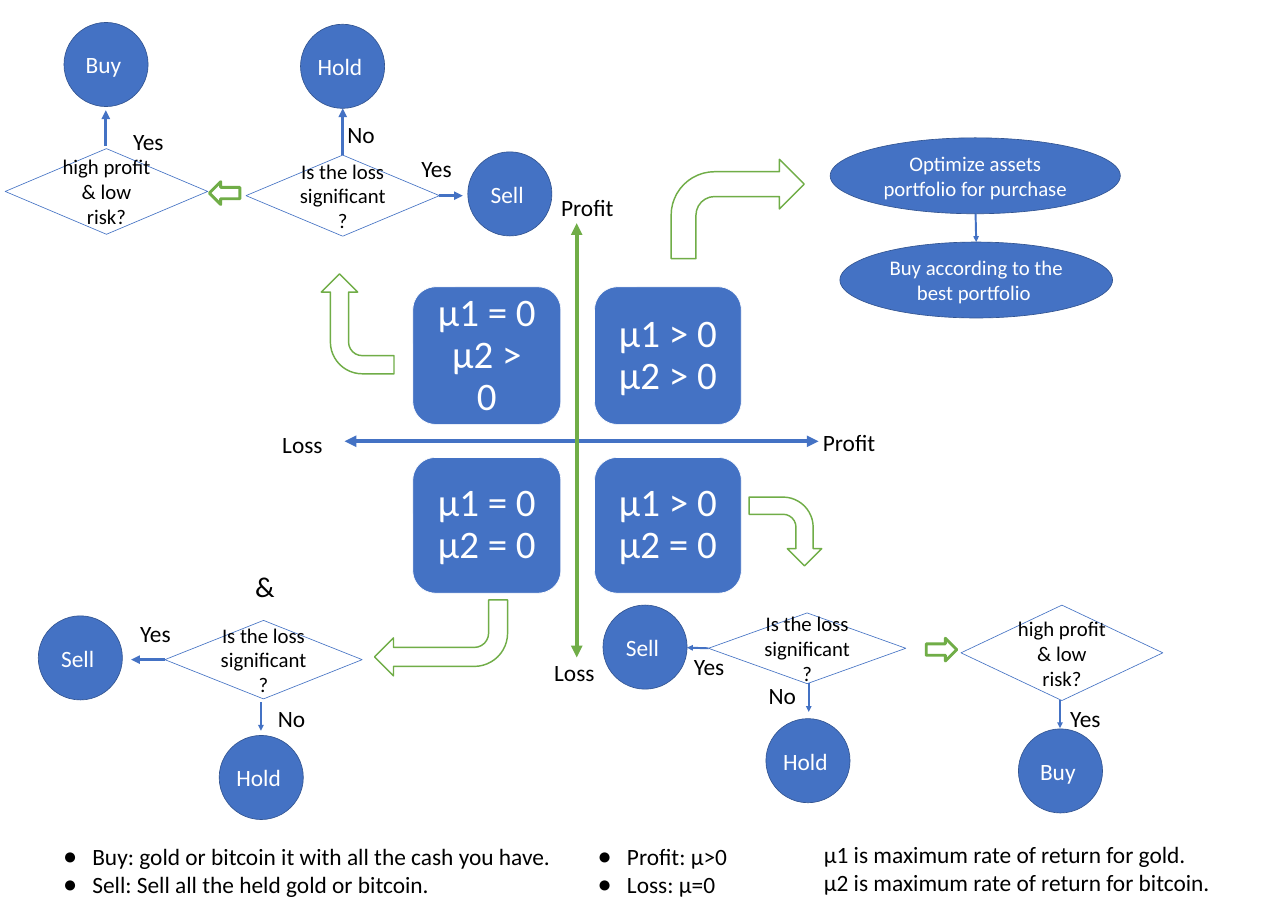
from pptx import Presentation
from pptx.dml.color import RGBColor
from pptx.enum import shapes, text
from pptx.oxml import ns
from pptx.util import Pt
from lxml import etree

BLUE = RGBColor(0x44, 0x72, 0xC4)
DARK_BLUE = RGBColor(0x32, 0x54, 0x91)
GREEN = RGBColor(0x70, 0xAD, 0x47)
WHITE = RGBColor(0xFF, 0xFF, 0xFF)
BLACK = RGBColor(0, 0, 0)
FONT = "Calibri"
CIRCLE = 129.6
KIND = shapes.MSO_SHAPE
TOP, LEFT, RIGHT = 0, 1, 3


def add_run(p, words, size, color):
    r = p.add_run()
    r.text = words
    r.font.name = FONT
    r.font.size = Pt(size)
    r.font.color.rgb = color


def add_shape(s, kind, x, y, w, h, fill, line, weight=1):
    sp = s.shapes.add_shape(kind, Pt(x), Pt(y), Pt(w), Pt(h))
    sp.shadow.inherit = False
    if fill is None:
        sp.fill.background()
    else:
        sp.fill.solid()
        sp.fill.fore_color.rgb = fill
    sp.line.color.rgb = line
    sp.line.width = Pt(weight)
    return sp


def centre_text(sp, lines, size, color):
    tf = sp.text_frame
    tf.word_wrap = True
    tf.vertical_anchor = text.MSO_ANCHOR.MIDDLE
    p = tf.paragraphs[0]
    p.alignment = text.PP_ALIGN.CENTER
    for i, line in enumerate(lines):
        if i:
            p.add_line_break()
        add_run(p, line, size, color)


def add_quadrant(s, x, y, w, h, *lines):
    sp = add_shape(s, KIND.ROUNDED_RECTANGLE, x, y, w, h, BLUE, WHITE)
    centre_text(sp, lines, 60, WHITE)
    tf = sp.text_frame
    tf.margin_left = tf.margin_right = tf.margin_top = tf.margin_bottom = Pt(16)
    tf.paragraphs[0].line_spacing = 0.9


def add_ellipse(s, words, x, y, w=CIRCLE, h=CIRCLE, size=36):
    sp = add_shape(s, KIND.OVAL, x, y, w, h, BLUE, DARK_BLUE)
    centre_text(sp, [words], size, WHITE)
    return sp


def add_decision(s, words, x, y, w, h):
    sp = add_shape(s, KIND.DIAMOND, x, y, w, h, WHITE, BLUE)
    centre_text(sp, [words], 32, BLACK)
    return sp


def add_block_arrow(s, kind, x, y, w, h, rotation, weight):
    sp = add_shape(s, kind, x, y, w, h, None, GREEN, weight)
    sp.rotation = rotation


def add_arrow(s, start, end, weight, color=BLUE, double=False):
    """Draw an arrow; start is a point or a (shape, connection site) pair."""
    joined = not isinstance(start[0], (int, float))
    x, y = end if joined else start
    c = s.shapes.add_connector(shapes.MSO_CONNECTOR.STRAIGHT,
                               Pt(x), Pt(y), Pt(end[0]), Pt(end[1]))
    if joined:
        c.begin_connect(*start)
    c.line.color.rgb = color
    c.line.width = Pt(weight)
    ln = c.line._get_or_add_ln()
    for tag in ("a:headEnd", "a:tailEnd") if double else ("a:tailEnd",):
        etree.SubElement(ln, ns.qn(tag), type="triangle")
    etree.SubElement(c._element.spPr, ns.qn("a:effectLst"))
    return c


def add_label(s, lines, x, y, w=113, h=51, size=36):
    tf = s.shapes.add_textbox(Pt(x), Pt(y), Pt(w), Pt(h)).text_frame
    tf.word_wrap = True
    for i, line in enumerate(lines):
        p = tf.add_paragraph() if i else tf.paragraphs[0]
        add_run(p, line, size, BLACK)


def fill_list(body, items, x, y, w, h):
    body.left, body.top, body.width, body.height = Pt(x), Pt(y), Pt(w), Pt(h)
    tf = body.text_frame
    tf.auto_size = text.MSO_AUTO_SIZE.NONE
    for i, item in enumerate(items):
        p = tf.add_paragraph() if i else tf.paragraphs[0]
        pPr = p._p.get_or_add_pPr()
        pPr.set("marL", str(Pt(45)))
        pPr.set("indent", str(-Pt(45)))
        etree.SubElement(pPr, ns.qn("a:buChar"), char="●")
        p.space_before = Pt(0)
        add_run(p, item, 36, BLACK)


def add_axes(s):
    add_arrow(s, (531, 680), (1261, 680), 6, double=True)
    add_arrow(s, (888.5, 1013), (888.5, 344), 6, GREEN, double=True)
    add_label(s, ["Loss"], 846.7, 1010, 86)
    add_label(s, ["Loss"], 427.7, 659.5, 86)
    add_label(s, ["Profit"], 857.5, 294.5)
    add_label(s, ["Profit"], 1260.7, 656)


def add_quadrants(s):
    left, right = (636, 228), (916, 226)
    upper, lower = (442, 212), (705, 209)
    for (x, w), (y, h), lines in (
            (left, upper, ("µ1 = 0", "µ2 >", "0")),
            (right, upper, ("µ1 > 0", "µ2 > 0")),
            (left, lower, ("µ1 = 0", "µ2 = 0")),
            (right, lower, ("µ1 > 0", "µ2 = 0"))):
        add_quadrant(s, x, y, w, h, *lines)
    for x, y, w, h, rotation in ((1034, 245.5, 205, 153, 0),
                                 (577, 924.5, 205, 117, 180),
                                 (474, 443, 154, 112, 270),
                                 (1157, 763, 106, 112, 90)):
        add_block_arrow(s, KIND.BENT_ARROW, x, y, w, h, rotation, 2.25)


def add_decisions(s):
    loss, risk = "Is the loss significant?", "high profit & low risk?"
    upper_loss = add_decision(s, loss, 379, 239, 298, 125)
    lower_left_loss = add_decision(s, loss, 254, 956, 304, 121)
    lower_right_loss = add_decision(s, loss, 1091.5, 944.5, 304, 109)
    add_decision(s, risk, 8, 229, 312, 132)
    add_decision(s, risk, 1480.5, 932.5, 311, 147)
    for start, end, weight in (
            ((upper_loss, RIGHT), (713, 301.5), 4.5),
            ((upper_loss, TOP), (528, 167), 4.5),
            ((163, 225), (163, 170), 4.5),
            ((lower_left_loss, LEFT), (202, 1016.5), 4.5),
            ((402, 1082), (402, 1126), 3),
            ((lower_right_loss, LEFT), (1058.4, 998), 3),
            ((1246, 1053), (1246, 1097), 3),
            ((1633, 1078), (1633, 1122), 3)):
        add_arrow(s, start, end, weight)
    add_block_arrow(s, KIND.RIGHT_ARROW, 322.5, 280, 47, 35, 180, 4.5)
    add_block_arrow(s, KIND.RIGHT_ARROW, 1427, 983.5, 47, 35, 0, 4.5)


def add_outcomes(s):
    for action, places in (
            ("Sell ", ((59, 949), (929, 932.4), (720.7, 234))),
            ("Hold ", ((337.7, 1133.3), (1180, 1107.4), (463, 37.4))),
            ("Buy ", ((1569, 1123.2), (98.6, 34.6)))):
        for x, y in places:
            add_ellipse(s, action, x, y)
    add_ellipse(s, "Optimize assets portfolio for purchase", 1279, 212.4, 447, 117, 32)
    purchase = add_ellipse(s, "Buy according to the best portfolio ",
                           1294, 373, 420, 117, 32)
    add_arrow(s, (1503, 329), (1504, 373), 3).end_connect(purchase, TOP)


def add_answers(s):
    for answer, places in (
            ("No", ((421, 1081), (528, 181.4), (1177, 1046))),
            ("Yes", ((209, 950.4), (1062, 1001.5), (198, 192), (1641.6, 1082), (642, 233.3)))):
        for x, y in places:
            add_label(s, [answer], x, y)
    add_label(s, ["&"], 386, 873, 46, 60, 44)


def main():
    prs = Presentation()
    prs.slide_width, prs.slide_height = Pt(1984.32), Pt(1417.68)
    s = prs.slides.add_slide(prs.slide_layouts[3])
    title, actions, terms = s.placeholders
    title.element.getparent().remove(title.element)
    fill_list(actions, ("Buy: gold or bitcoin it with all the cash you have.",
                        "Sell: Sell all the held gold or bitcoin."), 90, 1294.5, 971, 94)
    fill_list(terms, ("Profit: μ>0", "Loss: μ=0"), 913.7, 1294, 228, 94)
    add_label(s, ("μ1 is maximum rate of return for gold.",
                  "μ2 is maximum rate of return for bitcoin."), 1262, 1291, 611, 94)
    add_axes(s)
    add_quadrants(s)
    add_decisions(s)
    add_outcomes(s)
    add_answers(s)
    prs.save("out.pptx")


if __name__ == "__main__":
    main()
